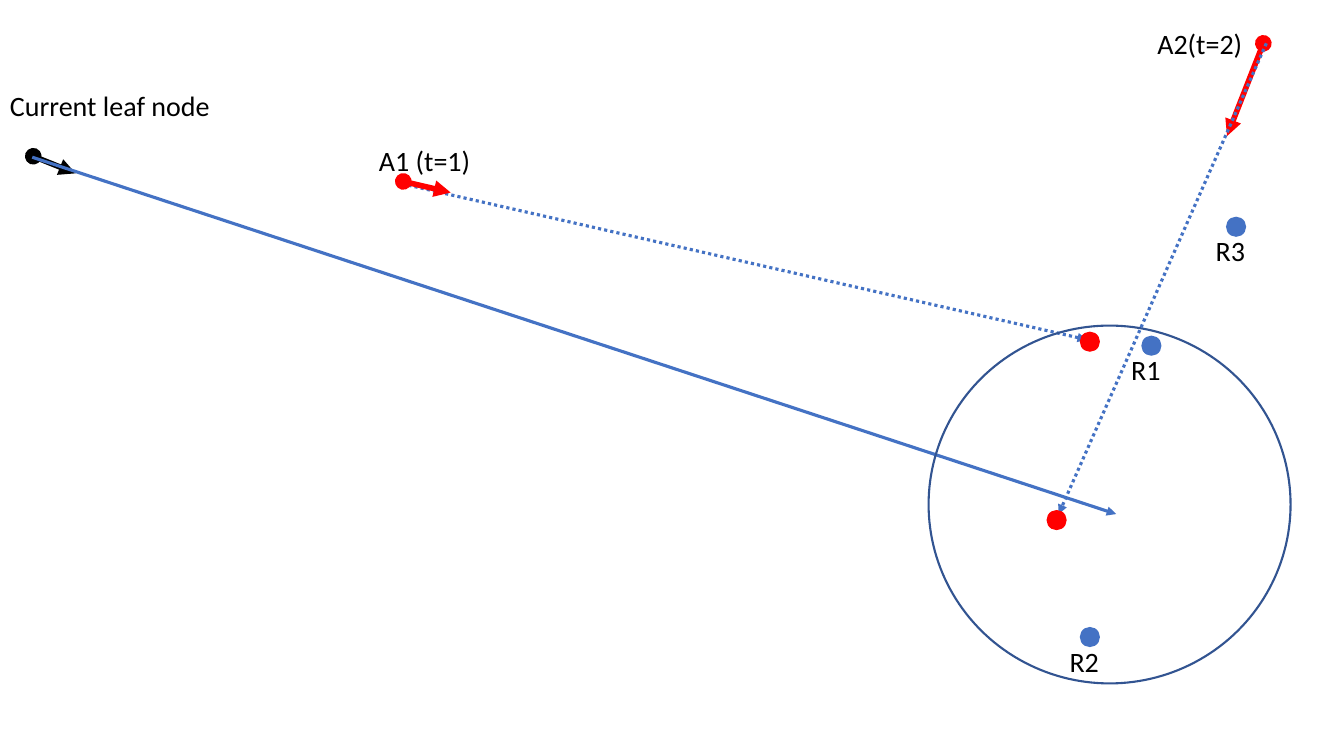
from lxml import etree
from pptx import Presentation
from pptx.dml.color import RGBColor
from pptx.enum.dml import MSO_LINE
from pptx.enum.shapes import MSO_CONNECTOR, MSO_SHAPE
from pptx.enum.text import MSO_AUTO_SIZE
from pptx.oxml.ns import qn
from pptx.util import Emu, Pt

PX = 9144  # EMU per px, 100 px to the inch
DOT = 20
LABEL_HEIGHT = 44

BLACK = RGBColor(0x00, 0x00, 0x00)
RED = RGBColor(0xFF, 0x00, 0x00)
BLUE = RGBColor(0x44, 0x72, 0xC4)
DARK_BLUE = RGBColor(0x32, 0x54, 0x91)


def px(*lengths):
    return [Emu(length * PX) for length in lengths]


def add_label(shapes, text, left, top, width):
    box = shapes.add_textbox(*px(left, top, width, LABEL_HEIGHT))
    frame = box.text_frame
    frame.word_wrap = False
    frame.auto_size = MSO_AUTO_SIZE.SHAPE_TO_FIT_TEXT
    run = frame.paragraphs[0].add_run()
    run.text = text
    run.font.name = "Calibri"
    run.font.size = Pt(20)
    run.font.color.rgb = BLACK


def add_ellipse(shapes, left, top, width, height):
    ellipse = shapes.add_shape(MSO_SHAPE.OVAL, *px(left, top, width, height))
    ellipse.shadow.inherit = False
    return ellipse


def add_dot(shapes, left, top, color):
    dot = add_ellipse(shapes, left, top, DOT, DOT)
    dot.fill.solid()
    dot.fill.fore_color.rgb = color
    dot.line.fill.background()


def add_landmark(slide, name, left, top):
    """Blue dot with its name below, as one group."""
    group = slide.shapes.add_group_shape()
    add_dot(group.shapes, left, top, BLUE)
    add_label(group.shapes, name, left - 20, top + 12, 57)


def add_arrow(slide, start, end, color, width, dotted=False, oval_start=False):
    arrow = slide.shapes.add_connector(MSO_CONNECTOR.STRAIGHT, *px(*start, *end))
    arrow.line.color.rgb = color
    arrow.line.width = Pt(width)
    if dotted:
        arrow.line.dash_style = MSO_LINE.ROUND_DOT
    # Line ends follow the dash in the line element
    line = arrow.line._get_or_add_ln()
    if oval_start:
        etree.SubElement(line, qn("a:headEnd")).set("type", "oval")
    etree.SubElement(line, qn("a:tailEnd")).set("type", "triangle")
    etree.SubElement(arrow._element.spPr, qn("a:effectLst"))


def add_heading(slide, start, end, color):
    add_arrow(slide, start, end, color, 4, oval_start=True)


def add_route(slide, start, end, dotted=False):
    add_arrow(slide, start, end, BLUE, 2.25, dotted=dotted)


def main():
    presentation = Presentation()
    presentation.slide_width, presentation.slide_height = px(1333, 750)
    slide = presentation.slides.add_slide(presentation.slide_layouts[6])
    shapes = slide.shapes

    # Current node and the nearby landmarks
    add_heading(slide, (33, 155), (75, 172), BLACK)
    add_landmark(slide, "R1", 1132, 333)
    add_landmark(slide, "R2", 1071, 622)

    # First agent
    add_label(shapes, "A1 (t=1)", 366, 137, 124)
    add_route(slide, (393, 181), (1078, 337), dotted=True)
    add_heading(slide, (400, 180), (447, 191), RED)

    # Second agent's heading
    add_label(shapes, "Current leaf node", 0, 83, 224)
    add_heading(slide, (1253, 43), (1217, 135), RED)
    add_label(shapes, "A2(t=2)", 1138, 21, 118)

    # Route into the search circle
    add_route(slide, (32, 156), (1107, 510))
    circle = add_ellipse(shapes, 921, 323, 359, 355)
    circle.fill.background()
    circle.line.color.rgb = DARK_BLUE
    circle.line.width = Pt(1.5)
    add_landmark(slide, "R3", 1216, 215)

    # Predicted positions of both agents
    add_dot(shapes, 1071, 329, RED)
    add_route(slide, (1256, 43), (1050, 510), dotted=True)
    add_dot(shapes, 1038, 506, RED)

    presentation.save("out.pptx")


if __name__ == "__main__":
    main()
